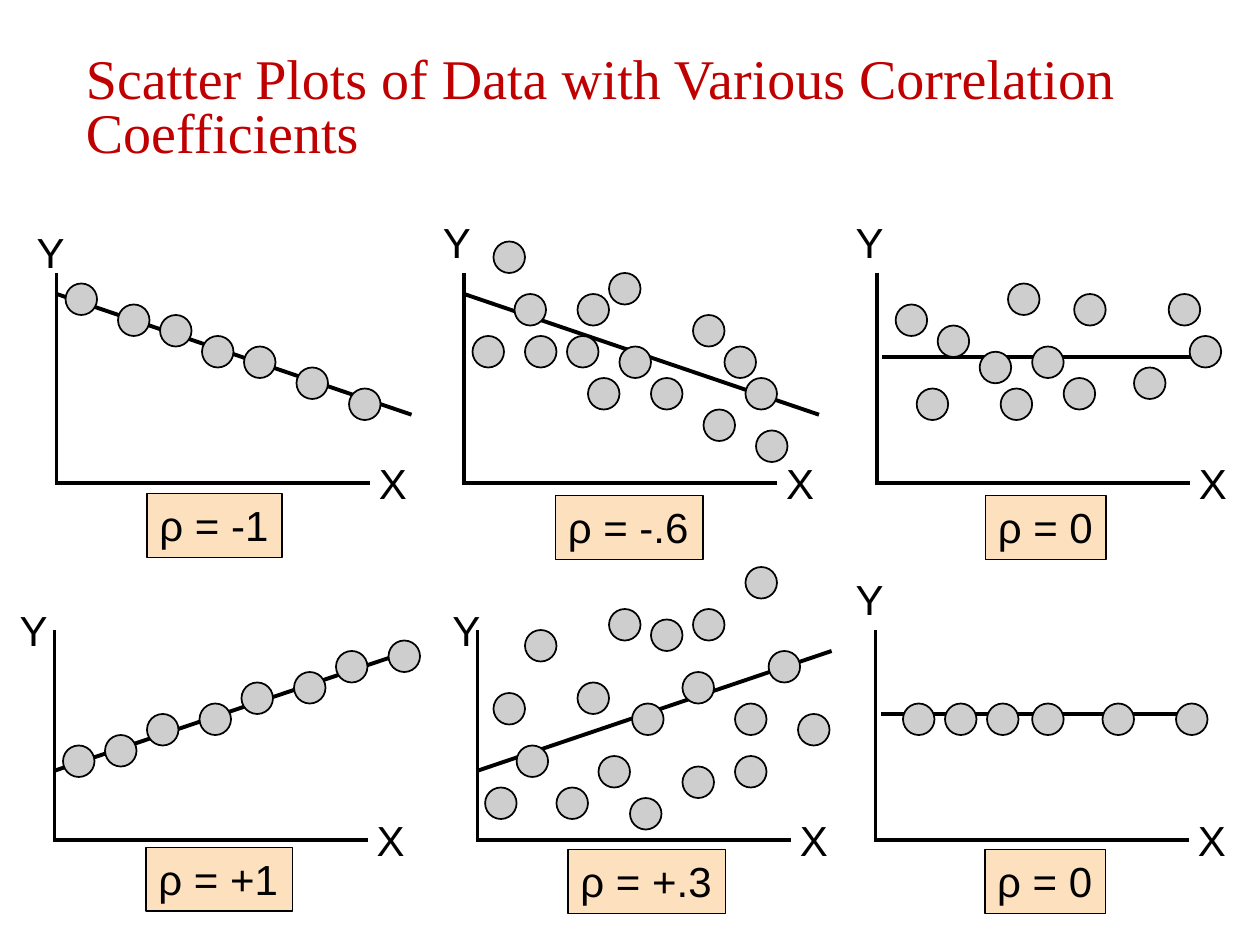
"""Build a slide of six scatter sketches with their correlation coefficients."""
from dataclasses import dataclass

from lxml.etree import SubElement
from pptx import Presentation
from pptx.dml.color import RGBColor
from pptx.enum.shapes import MSO_CONNECTOR as Connector, MSO_SHAPE as Shape
from pptx.enum.text import MSO_ANCHOR as Anchor, MSO_AUTO_SIZE as AutoSize
from pptx.oxml.ns import qn
from pptx.util import Inches, Pt

COLUMNS, ROWS = 120, 90
CELL = Inches(10) / COLUMNS
DOT_SIZE = 3
AXIS_HEIGHT, AXIS_WIDTH = 20, 30
AXIS_OVERHANG = 0.15
LETTER_SIZE = (5, 6)
FORMULA_HEIGHT = 6.1


@dataclass(frozen=True)
class Theme:
    """Colours, fonts and point sizes."""
    ink: str = "000000"
    title: str = "C00000"
    dot: str = "CECECE"
    formula: str = "FDE0BD"
    title_font: str = "Times New Roman"
    label_font: str = "Arial"
    title_size: float = 32
    label_size: float = 24
    axis_line: float = 2
    trend_line: float = 2.25
    outline: float = 1


@dataclass(frozen=True)
class Plot:
    """One sketch, measured in grid columns and rows."""
    axis: float
    base: float
    y_letter: tuple
    trend: tuple
    formula: str
    formula_at: tuple
    formula_width: float
    dots: tuple


THEME = Theme()
PLOTS = (
    Plot(5.4, 46, (2.3, 21), (5.4, 28, 39.2, 39.5), "ρ = -1", (14, 47), 12.85,
         ((6.24, 27), (11.24, 29), (15.24, 30), (19.24, 32), (23.24, 33),
          (28.24, 35), (33.24, 37))),
    Plot(44.2, 46, (41, 20), (44.2, 28, 78, 39.5), "ρ = -.6", (52.9, 47.2), 14.05,
         ((72, 41), (71, 36), (47, 23), (49, 28), (67, 39), (45, 32), (62, 36),
          (55, 28), (58, 26), (69, 33), (50, 32), (66, 30), (54, 32), (59, 33),
          (56, 36))),
    Plot(83.5, 46, (80.3, 20), (84, 34, 114, 34), "ρ = 0", (93.85, 47.2), 11.5,
         ((87.3, 37), (111.3, 28), (113.3, 32), (101.3, 36), (102.3, 28), (96, 27),
          (85.3, 29), (89.3, 31), (93.3, 33.5), (98.3, 33), (95.3, 37), (108, 35))),
    Plot(5.2, 80, (0.7, 57), (5.2, 73.4, 39, 62), "ρ = +1", (13.9, 80.7), 13.95,
         ((6, 71), (10, 70), (37, 61), (32, 62), (14, 68), (23, 65), (19, 67),
          (28, 64))),
    Plot(45.5, 80, (41.9, 57), (45.5, 73.4, 79.2, 62), "ρ = +.3", (54.1, 80.9), 15,
         ((46.2, 75), (49.2, 71), (71, 54), (73.2, 62), (53, 75), (76, 68),
          (65, 73), (66, 58), (58, 58), (47, 66), (50, 60), (55, 65), (70, 67),
          (60.2, 67), (60, 76), (70, 72), (65, 64), (57, 72), (62, 59))),
    Plot(83.4, 80, (80.3, 54), (83.9, 68, 113.9, 68), "ρ = 0", (93.8, 80.9), 11.5,
         tuple((column, 67) for column in (86, 90, 94, 98.3, 105, 112))),
)


def grid(*cells):
    """Convert grid cells to slide lengths."""
    return [round(cell * CELL) for cell in cells]


def color(code):
    """Turn a hex code into a colour."""
    return RGBColor.from_string(code)


def write(para, text, font, size, ink):
    """Add one styled run to a paragraph."""
    span = para.add_run()
    span.text = text
    span.font.name = font
    span.font.size = Pt(size)
    span.font.color.rgb = color(ink)


def add_title(page, text):
    """Add the slide title."""
    frame = page.shapes.add_textbox(*grid(7, 3, 110.3, 15)).text_frame
    frame.word_wrap = True
    frame.vertical_anchor = Anchor.MIDDLE
    para = frame.paragraphs[0]
    para.line_spacing = 0.8
    write(para, text, THEME.title_font, THEME.title_size, THEME.title)


def add_label(page, text, left, top, width, height):
    """Add a one-line label and return its box."""
    box = page.shapes.add_textbox(*grid(left, top, width, height))
    frame = box.text_frame
    frame.word_wrap = False
    frame.auto_size = AutoSize.SHAPE_TO_FIT_TEXT
    write(frame.paragraphs[0], text, THEME.label_font, THEME.label_size, THEME.ink)
    return box


def paint(shape, fill):
    """Give a shape a flat fill and a thin outline."""
    shape.fill.solid()
    shape.fill.fore_color.rgb = color(fill)
    shape.line.color.rgb = color(THEME.ink)
    shape.line.width = Pt(THEME.outline)


def add_line(page, ends, width):
    """Draw a straight line between two grid points."""
    line = page.shapes.add_connector(Connector.STRAIGHT, *grid(*ends))
    line.line.color.rgb = color(THEME.ink)
    line.line.width = Pt(width)
    SubElement(line._element.spPr, qn("a:effectLst"))


def add_dot(page, left, top):
    """Draw one data point."""
    dot = page.shapes.add_shape(Shape.OVAL, *grid(left, top, DOT_SIZE, DOT_SIZE))
    dot.shadow.inherit = False
    paint(dot, THEME.dot)


def add_plot(page, plot):
    """Draw axes, trend line, points and labels of one sketch."""
    axis, base = plot.axis, plot.base
    start = axis - AXIS_OVERHANG
    add_line(page, (axis, base - AXIS_HEIGHT, axis, base), THEME.axis_line)
    add_line(page, (start, base, start + AXIS_WIDTH, base), THEME.axis_line)
    is_flat = plot.trend[1] == plot.trend[3]
    add_line(page, plot.trend, THEME.axis_line if is_flat else THEME.trend_line)
    for left, top in plot.dots:
        add_dot(page, left, top)
    add_label(page, "Y", *plot.y_letter, *LETTER_SIZE)
    add_label(page, "X", axis + AXIS_WIDTH - 0.5, base - 3, *LETTER_SIZE)
    box = add_label(page, plot.formula, *plot.formula_at,
                    plot.formula_width, FORMULA_HEIGHT)
    paint(box, THEME.formula)


def main():
    """Build and save the deck."""
    deck = Presentation()
    deck.slide_width, deck.slide_height = grid(COLUMNS, ROWS)
    page = deck.slides.add_slide(deck.slide_layouts[6])
    add_title(page, "Scatter Plots of Data with Various Correlation Coefficients")
    for plot in PLOTS:
        add_plot(page, plot)
    deck.save("out.pptx")


if __name__ == "__main__":
    main()
